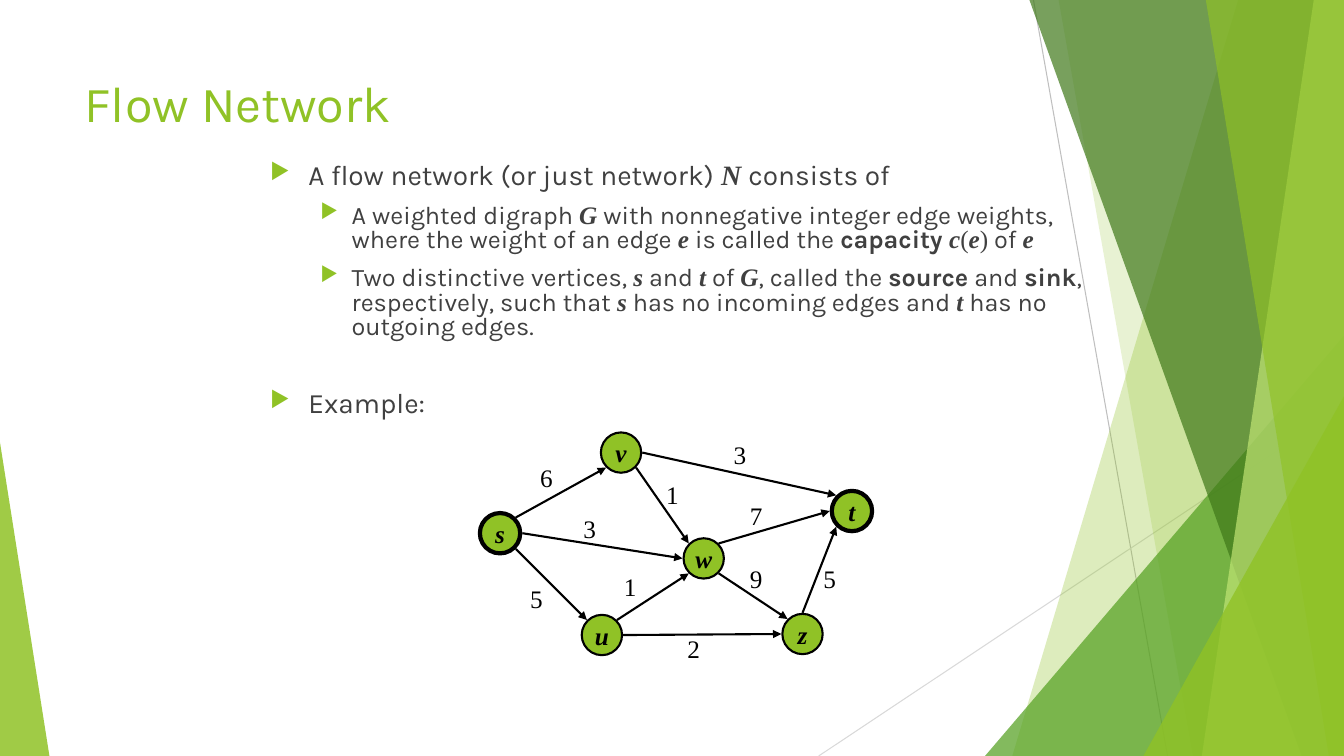
from collections import namedtuple
from math import cos, radians, sin

from lxml import etree
from pptx import Presentation
from pptx.dml.color import RGBColor
from pptx.enum.shapes import MSO_CONNECTOR, MSO_SHAPE
from pptx.enum.text import MSO_ANCHOR, PP_ALIGN
from pptx.oxml.ns import qn
from pptx.util import Inches, Pt

STRAIGHT = MSO_CONNECTOR.STRAIGHT
OVAL, TRIANGLE = MSO_SHAPE.OVAL, MSO_SHAPE.ISOSCELES_TRIANGLE
MIDDLE, TOP = MSO_ANCHOR.MIDDLE, MSO_ANCHOR.TOP
CENTER, LEFT = PP_ALIGN.CENTER, PP_ALIGN.LEFT

Theme = namedtuple("Theme", "accent leaf forest lime ink black rule pale_rule "
                   "sans serif title_size body_size detail_size")
THEME = Theme("90C226", "54A021", "3F7819", "C0E474", "404040", "000000", "BFBFBF", "D9D9D9",
              "Karla", "Times New Roman", 36, 20, 18)

WIDTH, HEIGHT = 13.33, 7.5

TITLE = "Flow Network"
BODY = [
    (0, 0, [("A flow network (or just network) ", "plain"), ("N ", "math"),
            ("consists of", "plain")]),
    (1, 10, [("A weighted digraph ", "plain"), ("G", "math"),
             (" with nonnegative integer edge weights, where the weight of an edge ", "plain"),
             ("e", "math"), (" is called the ", "plain"), ("capacity ", "strong"),
             ("c", "math"), ("(", "symbol"), ("e", "math"), (")", "symbol"),
             (" of ", "plain"), ("e", "math")]),
    (1, 10, [("Two distinctive vertices, ", "plain"), ("s", "math"), (" and ", "plain"),
             ("t", "math"), (" of ", "plain"), ("G", "math"), (", called the ", "plain"),
             ("source", "strong"), (" and ", "plain"), ("sink", "strong"),
             (", respectively, such that ", "plain"), ("s", "math"),
             (" has no incoming edges and ", "plain"), ("t", "math"),
             (" has no outgoing edges.", "plain")]),
    (0, 37, [("Example:", "plain")]),
]
STYLES = {
    "plain": dict(font=THEME.sans),
    "strong": dict(font=THEME.sans, bold=True),
    "math": dict(font=THEME.serif, bold=True, italic=True),
    "symbol": dict(font=THEME.serif),
}
LEVELS = [(0.38, 0.38, THEME.body_size), (0.81, 0.31, THEME.detail_size)]

NODE_SIZE = 0.4
NODES = {
    "w": (6.98, 5.54, 1.5),
    "s": (4.96, 5.29, 3),
    "v": (6.16, 4.49, 1.5),
    "u": (5.97, 6.3, 1.5),
    "t": (8.45, 5.07, 3),
    "z": (7.96, 6.29, 1.5),
}
ANGLES = {"E": 0, "SE": 45, "SW": 135, "W": 180, "NW": 225, "N": 270, "NE": 315}
EDGES = [
    ("s", "NE", "v", "SW", "6", (5.42, 4.74)),
    ("s", "SE", "u", "NW", "5", (5.32, 5.94)),
    ("v", "SE", "w", "NW", "1", (6.67, 4.91)),
    ("v", "E", "t", "NW", "3", (7.34, 4.51)),
    ("w", "NE", "t", "W", "7", (7.5, 5.11)),
    ("w", "SE", "z", "NW", "9", (7.5, 5.74)),
    ("z", "N", "t", "SW", "5", (8.23, 5.74)),
    ("u", "E", "z", "W", "2", (6.88, 6.43)),
    ("u", "NE", "w", "SW", "1", (6.25, 5.82)),
    ("s", "E", "w", "W", "3", (5.85, 5.24)),
]
LABEL_SIZE = (0.33, 0.4)

RULES = [((10.25, 0), (11.58, HEIGHT), THEME.rule),
         ((WIDTH, 4.03), (8.12, HEIGHT), THEME.pale_rule)]
FACETS = [
    ("band", 12.28, 10.04, THEME.accent, 30),
    ("band", 10.5, 11.83, THEME.accent, 20),
    ("right", 9.77, 3.33, THEME.leaf, 72),
    ("band", 10.21, 12.91, THEME.forest, 70),
    ("band", 13.03, 11.92, THEME.lime, 70),
    ("band", 11.96, 13.18, THEME.accent, 65),
    ("right", 11.34, 3.93, THEME.accent, 80),
    ("left", 0.49, 4.39, THEME.accent, 85),
]


def add_child(parent, tag, **attributes):
    return etree.SubElement(parent, qn(tag), attributes)


def add_text(paragraph, text, *, size, font, color, bold=False, italic=False):
    run = paragraph.add_run()
    run.text = text
    run.font.size, run.font.name = Pt(size), font
    run.font.bold, run.font.italic = bold, italic
    run.font.color.rgb = RGBColor.from_string(color)


def open_frame(shape, wrap, anchor=TOP, align=LEFT):
    frame = shape.text_frame
    frame.word_wrap, frame.vertical_anchor = wrap, anchor
    frame.paragraphs[0].alignment = align
    return frame


def add_box(slide, left, top, width, height):
    return slide.shapes.add_textbox(Inches(left), Inches(top), Inches(width), Inches(height))


def paint(shape, color, opacity=100):
    shape.shadow.inherit = False
    shape.fill.solid()
    shape.fill.fore_color.rgb = RGBColor.from_string(color)
    if opacity < 100:
        color_element = shape.fill._xPr.find(qn("a:solidFill"))[0]
        add_child(color_element, "a:alpha", val=str(opacity * 1000))


def add_line(slide, start, end, color, width, arrow=False):
    line = slide.shapes.add_connector(STRAIGHT, *(Inches(value) for value in (*start, *end)))
    line.line.color.rgb = RGBColor.from_string(color)
    line.line.width = Pt(width)
    if arrow:
        add_child(line.line._get_or_add_ln(), "a:tailEnd", type="triangle")
    add_child(line._element.spPr, "a:effectLst")


def add_facet(slide, kind, first, second, color, opacity):
    if kind == "band":
        builder = slide.shapes.build_freeform(Inches(first), 0)
        builder.add_line_segments([(Inches(x), Inches(y)) for x, y in (
            (WIDTH, 0), (WIDTH, HEIGHT), (second, HEIGHT))])
        shape = builder.convert_to_shape()
    else:
        left, right = (first, WIDTH) if kind == "right" else (0, first)
        shape = slide.shapes.add_shape(TRIANGLE, Inches(left), Inches(second),
                                       Inches(right - left), Inches(HEIGHT - second))
        shape.adjustments[0] = 1 if kind == "right" else 0
    paint(shape, color, opacity)
    shape.line.fill.background()


def add_body(slide):
    frame = open_frame(add_box(slide, 2.58, 1.58, 8.5, 2.67), True)
    for index, (level, space, runs) in enumerate(BODY):
        paragraph = frame.add_paragraph() if index else frame.paragraphs[0]
        margin, hanging, size = LEVELS[level]
        properties = paragraph._p.get_or_add_pPr()
        properties.set("marL", str(Inches(margin)))
        properties.set("indent", str(-Inches(hanging)))
        add_child(add_child(properties, "a:buClr"), "a:srgbClr", val=THEME.accent)
        add_child(properties, "a:buSzPct", val="80000")
        add_child(properties, "a:buChar", char="▶")
        paragraph.level, paragraph.line_spacing = level, 0.8
        paragraph.space_before = Pt(space)
        for text, style in runs:
            add_text(paragraph, text, size=size, color=THEME.ink, **STYLES[style])


def add_node(slide, name, x, y, border):
    node = slide.shapes.add_shape(OVAL, Inches(x - NODE_SIZE / 2), Inches(y - NODE_SIZE / 2),
                                  Inches(NODE_SIZE), Inches(NODE_SIZE))
    paint(node, THEME.accent)
    node.line.color.rgb = RGBColor.from_string(THEME.black)
    node.line.width = Pt(border)
    frame = open_frame(node, False, MIDDLE, CENTER)
    add_text(frame.paragraphs[0], name, size=THEME.detail_size, color=THEME.black,
             **STYLES["math"])


def rim_point(name, side):
    x, y, border = NODES[name]
    radius = NODE_SIZE / 2 + border / 144
    angle = radians(ANGLES[side])
    return x + radius * cos(angle), y + radius * sin(angle)


def add_edge(slide, source, source_side, target, target_side, capacity, center):
    width, height = LABEL_SIZE
    box = add_box(slide, center[0] - width / 2, center[1] - height / 2, width, height)
    add_text(open_frame(box, False, align=CENTER).paragraphs[0], capacity,
             size=THEME.detail_size, color=THEME.black, font=THEME.serif)
    add_line(slide, rim_point(source, source_side), rim_point(target, target_side),
             THEME.black, 1.5, arrow=True)


def main():
    presentation = Presentation()
    presentation.slide_width, presentation.slide_height = Inches(WIDTH), Inches(HEIGHT)
    slide = presentation.slides.add_slide(presentation.slide_layouts[6])
    for start, end, color in RULES:
        add_line(slide, start, end, color, 0.75)
    for facet in FACETS:
        add_facet(slide, *facet)
    title = open_frame(add_box(slide, 0.74, 0.67, 9.4, 1.44), True)
    add_text(title.paragraphs[0], TITLE, size=THEME.title_size, font=THEME.sans,
             color=THEME.accent)
    add_body(slide)
    for name, place in NODES.items():
        add_node(slide, name, *place)
    for edge in EDGES:
        add_edge(slide, *edge)
    presentation.save("out.pptx")


if __name__ == "__main__":
    main()
